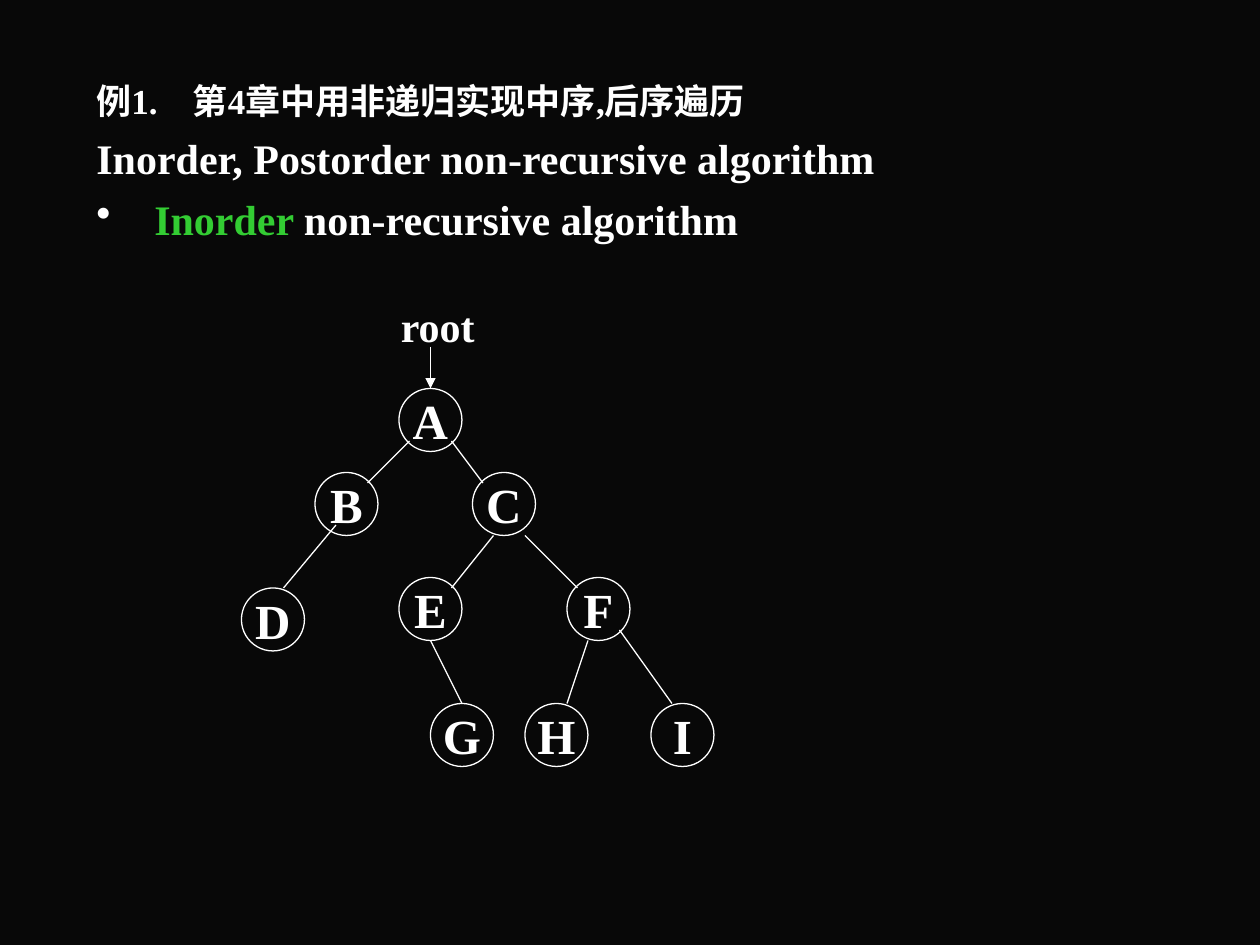
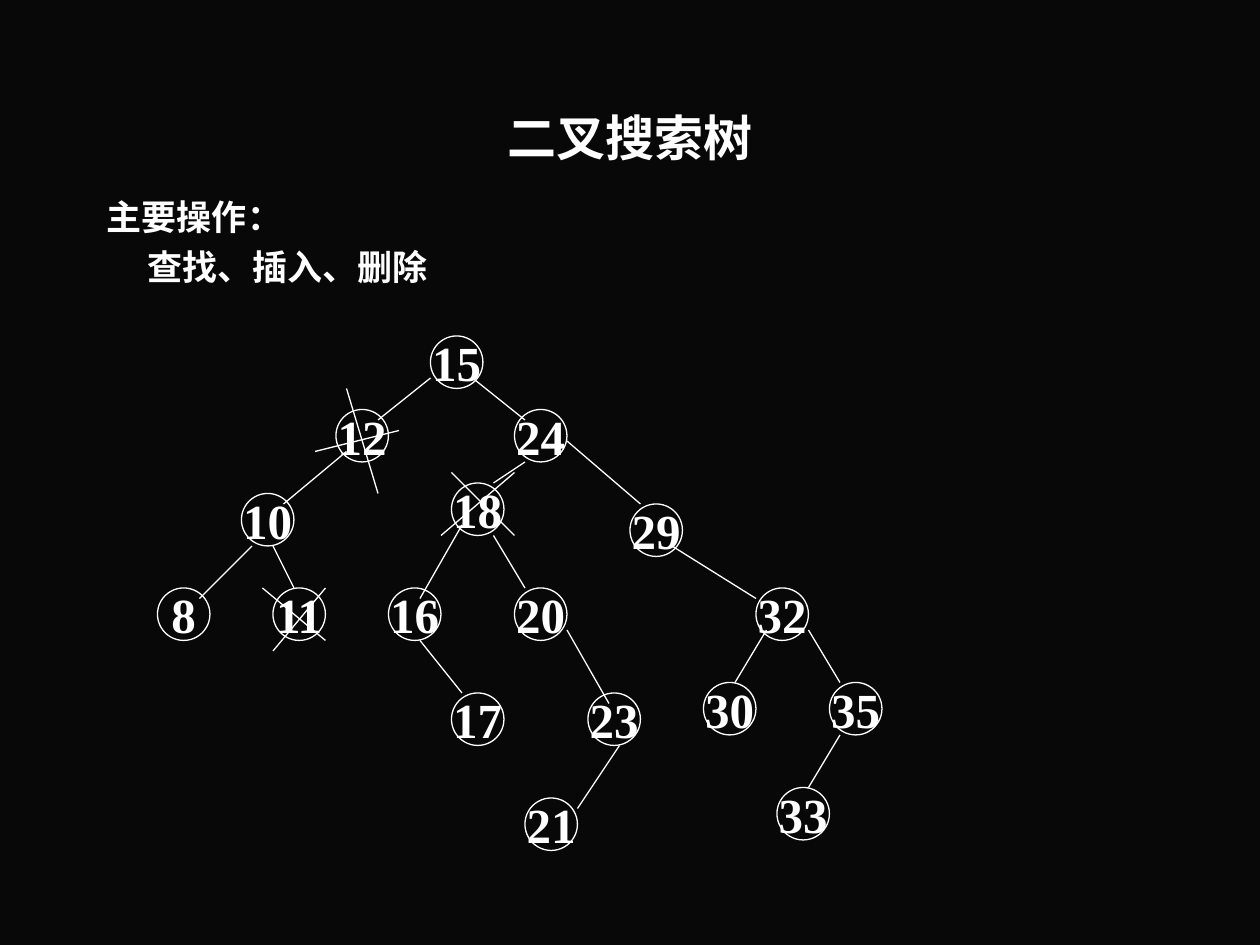
import dataclasses

import lxml.etree
import pptx
import pptx.dml.color
import pptx.enum.shapes
import pptx.enum.text
import pptx.oxml
import pptx.oxml.ns
import pptx.util

Inches = pptx.util.Inches
Pt = pptx.util.Pt
Align = pptx.enum.text.PP_ALIGN
Anchor = pptx.enum.text.MSO_ANCHOR
qn = pptx.oxml.ns.qn


@dataclasses.dataclass(frozen=True)
class Theme:
    background = pptx.dml.color.RGBColor.from_string("080808")
    white = pptx.dml.color.RGBColor.from_string("FFFFFF")
    green = pptx.dml.color.RGBColor.from_string("33CC33")
    font = "Times New Roman"
    large = Pt(28)
    medium = Pt(24)
    small = Pt(20)
    line = Pt(0.75)


theme = Theme()


def grid(*steps):
    return [Inches(step / 12) for step in steps]


def write_paragraph(paragraph, runs, size, align=Align.LEFT, before=0,
                    left=0, hanging=0, bullet=None):
    properties = paragraph._p.get_or_add_pPr()
    properties.set("marL", str(Inches(left)))
    properties.set("indent", str(-Inches(hanging)))
    if bullet:
        color = lxml.etree.SubElement(properties, qn("a:buClr"))
        lxml.etree.SubElement(color, qn("a:srgbClr"), val=str(theme.white))
        lxml.etree.SubElement(properties, qn("a:buChar"), char=bullet)
    paragraph.alignment = align
    paragraph.space_before = Pt(before)
    for text, color in runs:
        run = paragraph.add_run()
        run.text = text
        run.font.color.rgb = color
        for name, value in {"name": theme.font, "size": size, "bold": True}.items():
            setattr(run.font, name, value)


traversal = {
    "texts": [
        ((8, 7, 102, 77), Anchor.TOP, True, [
            {"runs": [("例1.　第4章中用非递归实现中序,后序遍历", theme.white)],
             "size": theme.small, "left": 0.38, "hanging": 0.38},
            {"runs": [("Inorder, Postorder non-recursive algorithm", theme.white)],
             "size": theme.medium, "left": 0.38, "hanging": 0.38, "before": 6},
            {"runs": [("Inorder ", theme.green),
                      ("non-recursive algorithm", theme.white)],
             "size": theme.medium, "left": 0.46, "hanging": 0.46, "before": 6,
             "bullet": "•"},
        ]),
        ((37, 28, 9.6, 6), Anchor.TOP, False, [
            {"runs": [("root", theme.white)], "size": theme.medium},
        ]),
    ],
    "node_size": 6,
    "nodes": {
        "A": (38, 37), "B": (30, 45), "C": (45, 45), "D": (23, 56), "E": (38, 55),
        "F": (54, 55), "I": (62, 67), "H": (50, 67), "G": (41, 67),
    },
    "edges": [
        (39, 42, 35, 46), (32, 50, 27, 56), (43, 42, 46, 46), (47, 51, 43, 56),
        (50, 51, 55, 56), (41, 61, 44, 67), (56, 61, 54, 67), (59, 60, 64, 67),
    ],
    "strikes": [],
    "arrows": [(41, 33, 41, 37)],
}

search_tree = {
    "texts": [
        ((9, 8, 102, 10), Anchor.MIDDLE, True, [
            {"runs": [("二叉搜索树", theme.white)], "size": theme.large,
             "align": Align.CENTER},
        ]),
        ((9, 18, 102, 70), Anchor.TOP, True, [
            {"runs": [("主要操作：", theme.white)], "size": theme.small,
             "left": 0.38, "hanging": 0.38},
            {"runs": [("查找、插入、删除", theme.white)], "size": theme.small,
             "left": 0.32, "before": 5},
        ]),
    ],
    "node_size": 5,
    "nodes": {
        "15": (41, 32), "12": (32, 39), "24": (49, 39), "10": (23, 47),
        "8": (15, 56), "11": (26, 56), "18": (43, 46), "16": (37, 56),
        "17": (43, 66), "20": (49, 56), "29": (60, 48), "23": (56, 66),
        "21": (50, 76), "32": (72, 56), "30": (67, 65), "35": (79, 65),
        "33": (74, 75),
    },
    "edges": [
        (41, 36, 36, 40), (33, 43, 27, 48), (24, 52, 19, 57), (26, 52, 28, 56),
        (45, 36, 50, 40), (50, 44, 47, 46), (44, 50, 40, 57), (40, 61, 44, 66),
        (54, 42, 61, 48), (64, 52, 72, 57), (77, 60, 80, 65), (47, 51, 50, 56),
        (54, 60, 58, 67), (59, 71, 55, 77), (73, 60, 70, 65), (80, 70, 77, 75),
    ],
    "strikes": [
        (31, 56, 26, 62), (25, 56, 31, 61), (38, 41, 30, 43), (33, 37, 36, 47),
        (49, 45, 42, 51), (43, 45, 49, 51),
    ],
    "arrows": [],
}

presentation = pptx.Presentation()
presentation.slide_width = Inches(10)
presentation.slide_height = Inches(7.5)

for content in (traversal, search_tree):
    slide = presentation.slides.add_slide(presentation.slide_layouts[6])
    slide.background.fill.solid()
    slide.background.fill.fore_color.rgb = theme.background

    for box, anchor, wrap, paragraphs in content["texts"]:
        frame = slide.shapes.add_textbox(*grid(*box)).text_frame
        frame.word_wrap = wrap
        frame.vertical_anchor = anchor
        for index, settings in enumerate(paragraphs):
            paragraph = frame.add_paragraph() if index else frame.paragraphs[0]
            write_paragraph(paragraph, **settings)

    node_tops = {}
    node_size = content["node_size"]
    for label, (left, top) in content["nodes"].items():
        shape = slide.shapes.add_shape(
            pptx.enum.shapes.MSO_SHAPE.OVAL, *grid(left, top, node_size, node_size))
        shape.shadow.inherit = False
        shape.fill.background()
        shape.line.color.rgb = theme.white
        shape.line.width = theme.line
        shape.text_frame.word_wrap = False
        shape.text_frame.vertical_anchor = Anchor.MIDDLE
        write_paragraph(shape.text_frame.paragraphs[0], [(label, theme.white)],
                        theme.large, Align.CENTER)
        node_tops[left + node_size / 2, top] = shape

    for ends in content["edges"] + content["strikes"] + content["arrows"]:
        connector = slide.shapes.add_connector(
            pptx.enum.shapes.MSO_CONNECTOR.STRAIGHT, *grid(*ends))
        connector.line.color.rgb = theme.white
        connector.line.width = theme.line
        lxml.etree.SubElement(connector._element.spPr, qn("a:effectLst"))
        if ends[2:] in node_tops:
            connector.end_connect(node_tops[ends[2:]], 0)
        if ends in content["arrows"]:
            lxml.etree.SubElement(
                connector.line._get_or_add_ln(), qn("a:tailEnd"), type="triangle")

presentation.save("out.pptx")
